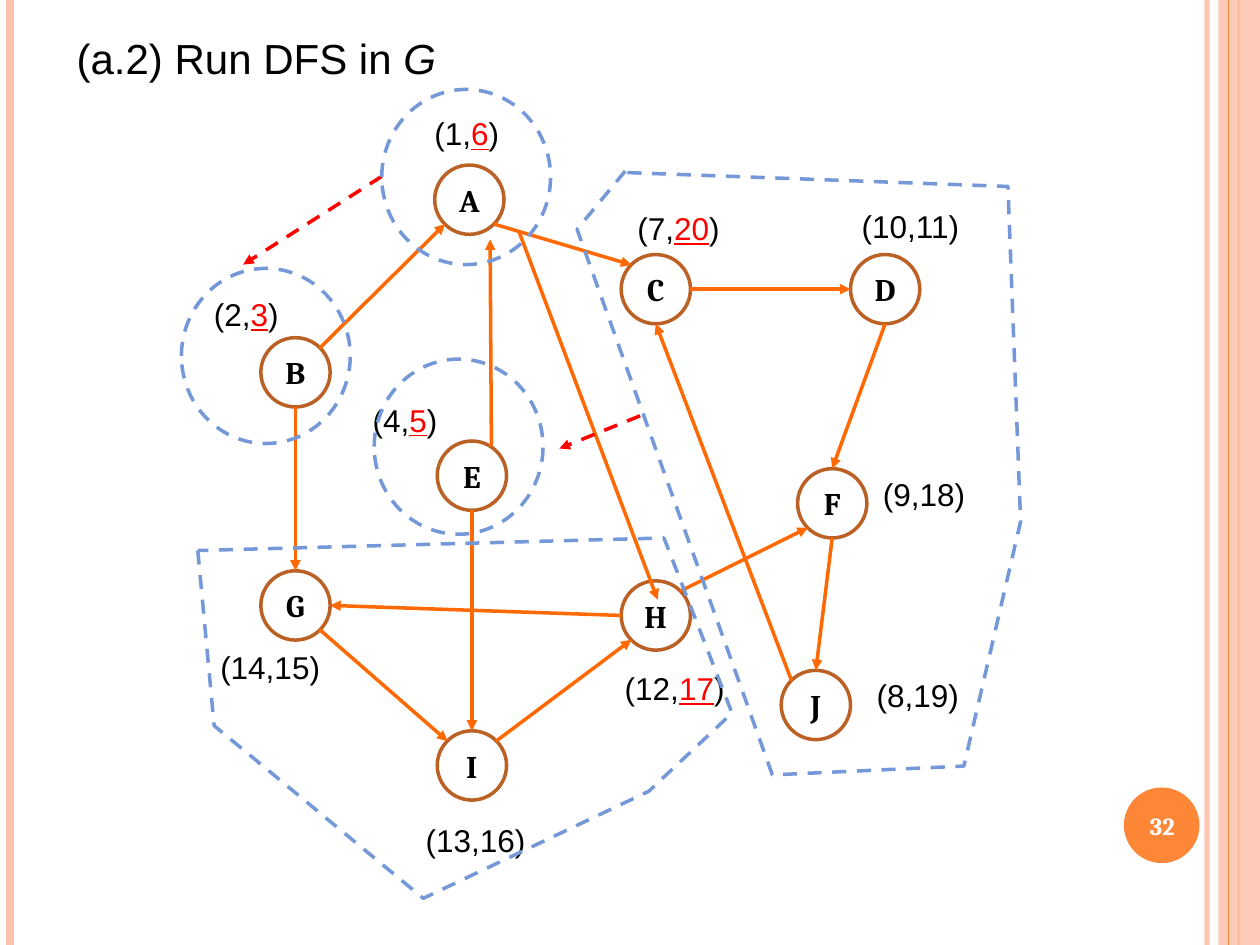
from lxml import etree
from pptx import Presentation
from pptx import util as u
from pptx.dml.color import RGBColor
from pptx.enum import dml, shapes, text
from pptx.oxml.ns import qn

presentation = Presentation()
presentation.slide_width, presentation.slide_height = u.Inches(10), u.Inches(7.5)
slide = presentation.slides.add_slide(presentation.slide_layouts[6])

# Grid of 1000 columns by 750 rows, with square cells
CELL = presentation.slide_width // 1000
COLUMNS, ROWS = 1000, 750
NODE = 55
STRAIGHT = shapes.MSO_CONNECTOR.STRAIGHT
OVAL = shapes.MSO_SHAPE.OVAL


def paint(fill, colour):
    fill.solid()
    fill.fore_color.rgb = RGBColor.from_string(colour)


def outline(shape, colour, width, dashed=False, arrow=False):
    paint(shape.line.fill, colour)
    shape.line.width = u.Pt(width)
    if dashed:
        shape.line.dash_style = dml.MSO_LINE.DASH
    properties = shape._element.spPr
    if arrow:
        etree.SubElement(properties.find(qn("a:ln")), qn("a:tailEnd"), type="triangle")
    etree.SubElement(properties, qn("a:effectLst"))


# Side stripes: column, colour, width
stripes = []
for column, colour, width in [(958, "FEC3AE", 3), (8, "FEC3AE", 4.5), (983, "FE8637", 1.5)]:
    stripe = slide.shapes.add_connector(
        STRAIGHT, column * CELL, 0, column * CELL, ROWS * CELL)
    outline(stripe, colour, width)
    stripes.append(stripe)

band = slide.shapes.add_shape(
    shapes.MSO_SHAPE.RECTANGLE, 967 * CELL, 0, (COLUMNS - 967) * CELL, ROWS * CELL)
paint(band.fill, "FEC3AE")
band.line.fill.background()
band.shadow.inherit = False
band_line = slide.shapes.add_connector(STRAIGHT, 975 * CELL, 0, 975 * CELL, ROWS * CELL)
outline(band_line, "FE8637", 0.75)

for shape, opacity in [(stripes[0], 93), (band, 87)]:
    colour_element = next(shape._element.iter(qn("a:srgbClr")))
    etree.SubElement(colour_element, qn("a:alpha"), val=str(opacity * 1000))

# Slide number badge
badge = slide.shapes.add_shape(OVAL, 892 * CELL, 625 * CELL, 60 * CELL, 60 * CELL)
paint(badge.fill, "FE8637")
badge.line.fill.background()
badge.shadow.inherit = False
number = slide.shapes.add_textbox(889 * CELL, 627 * CELL, 67 * CELL, 57 * CELL)

# Every text is a shape, whether it is centred, and runs of (words, font values, colour)
badge_font = {"size": u.Pt(14), "name": "Cambria", "bold": True}
node_font = {"size": u.Pt(18), "name": "Cambria", "bold": True}
label_font = {"size": u.Pt(18), "name": "Arial"}
title_font = {"size": u.Pt(24), "name": "Arial"}
texts = [(number, True, [("32", badge_font, "FFFFFF")])]

# Graph nodes: left column and top row
nodes = {
    "B": (207, 268), "A": (345, 131), "C": (493, 202), "D": (675, 202), "E": (347, 350),
    "F": (633, 372), "G": (207, 453), "H": (493, 461), "I": (347, 580), "J": (620, 532),
}
for name, (left, top) in nodes.items():
    node = slide.shapes.add_shape(OVAL, left * CELL, top * CELL, NODE * CELL, NODE * CELL)
    node.fill.background()
    outline(node, "BB6126", 2)
    texts.append((node, True, [(name, node_font, "000000")]))

# Graph edges run between compass points on the node rims
ports = {
    "n": (0.5, 0), "e": (1, 0.5), "s": (0.5, 1), "w": (0, 0.5),
    "nw": (0.15, 0.15), "ne": (0.85, 0.15), "sw": (0.15, 0.85), "se": (0.85, 0.85),
}
edges = ["B ne A sw", "A se C nw", "C e D w", "D s F n", "F s J n", "J nw C s",
         "H ne F sw", "B s G n", "H w G e", "I ne H sw", "G se I nw", "E s I n"]
arrows = []
for edge in edges:
    start, start_port, end, end_port = edge.split()
    points = [nodes[name][axis] + NODE * ports[port][axis]
              for name, port in ((start, start_port), (end, end_port)) for axis in (0, 1)]
    arrows.append((points, "FF6903", False))
arrows += [
    ((390, 354, 389, 190), "FF6903", False),  # E to A
    ((412, 184, 522, 476), "FF6903", False),  # A to H
    ((303, 140, 193, 210), "FF0000", True),   # between components
    ((508, 330, 444, 356), "FF0000", True),
]
for points, colour, dashed in arrows:
    arrow = slide.shapes.add_connector(STRAIGHT, *(round(point * CELL) for point in points))
    outline(arrow, colour, 2, dashed, arrow=True)

# Visit times: left, top, width, first time, second time, whether it is marked
times = [
    (335, 86, 87, "1", "6", True), (496, 161, 87, "7", "20", True),
    (674, 159, 104, "10", "11", False), (691, 372, 87, "9", "18", False),
    (686, 532, 87, "8", "19", False), (486, 526, 101, "12", "17", True),
    (160, 229, 87, "2", "3", True), (165, 509, 114, "14", "15", False),
    (286, 313, 87, "4", "5", True), (328, 647, 109, "13", "16", False),
]
for left, top, width, first, second, marked in times:
    label = slide.shapes.add_textbox(left * CELL, top * CELL, width * CELL, 40 * CELL)
    if marked:
        runs = [(f"({first},", label_font, "000000"),
                (second, {**label_font, "underline": True}, "FF0000"),
                (")", label_font, "000000")]
    else:
        runs = [(f"({first},{second})", label_font, "000000")]
    texts.append((label, False, runs))

# Title
title = slide.shapes.add_textbox(51 * CELL, 21 * CELL, 727 * CELL, 50 * CELL)
texts.append((title, False, [("(a.2) Run DFS in ", title_font, "000000"),
                             ("G", {**title_font, "italic": True}, "000000")]))

# Dashed components: two polygons and three ellipses
polygons = [
    ([(498, 137), (800, 148), (810, 414), (765, 608), (613, 615), (458, 182), (501, 130)], False),
    ([(157, 437), (170, 576), (336, 713), (515, 628), (581, 566), (527, 427)], True),
]
components = []
for corners, closed in polygons:
    builder = slide.shapes.build_freeform(*corners[0], scale=CELL)
    builder.add_line_segments(corners[1:], close=closed)
    components.append(builder.convert_to_shape())
for left, top in [(303, 71), (297, 285), (144, 213)]:
    components.append(slide.shapes.add_shape(
        OVAL, left * CELL, top * CELL, 134 * CELL, 139 * CELL))
for component in components:
    component.fill.background()
    outline(component, "7598D9", 2, dashed=True)

# Write all texts
for shape, centred, runs in texts:
    frame = shape.text_frame
    frame.word_wrap = True
    frame.vertical_anchor = text.MSO_ANCHOR.MIDDLE if centred else text.MSO_ANCHOR.TOP
    if not centred:
        frame.auto_size = text.MSO_AUTO_SIZE.SHAPE_TO_FIT_TEXT
    paragraph = frame.paragraphs[0]
    paragraph.alignment = text.PP_ALIGN.CENTER if centred else text.PP_ALIGN.LEFT
    for words, font_values, colour in runs:
        run = paragraph.add_run()
        run.text = words
        for attribute, value in font_values.items():
            setattr(run.font, attribute, value)
        paint(run.font.fill, colour)

presentation.save("out.pptx")
